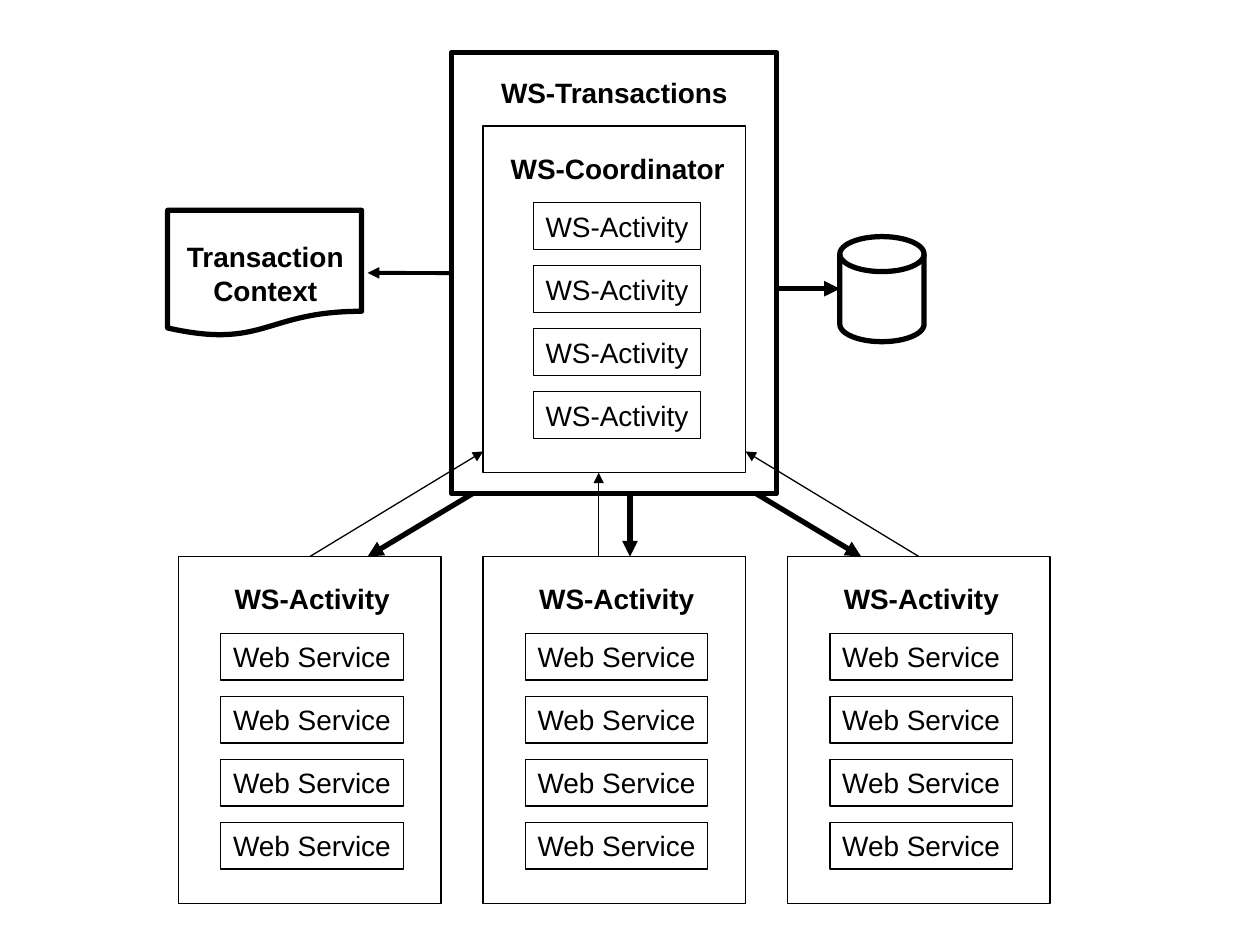
"""Build a diagram of web service transactions, coordination and activities."""
from dataclasses import dataclass

from lxml.etree import SubElement
from pptx import Presentation
from pptx.dml.color import RGBColor
from pptx.enum.shapes import MSO_CONNECTOR, MSO_SHAPE
from pptx.enum.text import MSO_ANCHOR, PP_ALIGN
from pptx.oxml.ns import qn
from pptx.util import Cm, Pt


@dataclass(frozen=True)
class Theme:
    ink: RGBColor = RGBColor(0, 0, 0)
    font: str = "Arial"
    size: Pt = Pt(16)
    thin: Pt = Pt(0.75)
    medium: Pt = Pt(2.25)
    thick: Pt = Pt(3)


theme = Theme()
prs = Presentation()
prs.slide_width, prs.slide_height = Cm(25.4), Cm(19.05)
s = prs.slides.add_slide(prs.slide_layouts[6])


def add_box(left, top, width, height, text="", kind=MSO_SHAPE.RECTANGLE, line=theme.thin, bold=False):
    """Add an unfilled shape, or a text box when kind is None."""
    place = Cm(left), Cm(top), Cm(width), Cm(height)
    if kind is None:
        sp = s.shapes.add_textbox(*place)
    else:
        sp = s.shapes.add_shape(kind, *place)
        sp.shadow.inherit = False
        sp.fill.background()
        sp.line.color.rgb = theme.ink
        sp.line.width = line
    if text:
        tf = sp.text_frame
        tf.text = text
        tf.word_wrap = False
        tf.vertical_anchor = MSO_ANCHOR.MIDDLE
        for p in tf.paragraphs:
            p.alignment = PP_ALIGN.CENTER
            for r in p.runs:
                r.font.name, r.font.size, r.font.bold = theme.font, theme.size, bold
                r.font.color.rgb = theme.ink
    return sp


def add_arrow(x1, y1, x2, y2, width):
    """Add a straight arrow pointing at its second end."""
    arrow = s.shapes.add_connector(MSO_CONNECTOR.STRAIGHT, Cm(x1), Cm(y1), Cm(x2), Cm(y2))
    arrow.line.color.rgb = theme.ink
    arrow.line.width = width
    SubElement(arrow.line._get_or_add_ln(), qn("a:tailEnd"), type="triangle")
    SubElement(arrow._element.spPr, qn("a:effectLst"))
    return arrow


panel_w, panel_h, row_h, row_step = 5.29, 6.99, 0.94, 1.27
activity_top, activity_step = 11.22, 6.14
activity_lefts = [3.6 + activity_step * i for i in range(3)]
coordinator_left, coordinator_top = activity_lefts[1], 2.54

activity = ("WS-Activity", 0.88, 3.63, "Web Service", 0.85, 3.68)
coordinator = ("WS-Coordinator", 0.3, 4.83, "WS-Activity", 1.01, 3.38)
panels = [(left, activity_top, activity) for left in activity_lefts]
panels.append((coordinator_left, coordinator_top, coordinator))

frames = []
for left, top, (title, title_dx, title_w, item, item_dx, item_w) in panels:
    frames.append(add_box(left, top, panel_w, panel_h))
    add_box(left + title_dx, top + 0.38, title_w, row_h, title, kind=None, bold=True)
    for row in range(4):
        add_box(left + item_dx, top + 1.55 + row_step * row, item_w, row_h, item)

transactions = add_box(9.1, 1.06, 6.56, 8.89, line=theme.thick)
add_box(9.83, 1.4, 5.11, row_h, "WS-Transactions", kind=None, bold=True)
add_box(3.38, 4.24, 3.91, 2.54, kind=MSO_SHAPE.FLOWCHART_DOCUMENT, line=theme.thick)
add_box(3.51, 4.7, 3.68, 1.63, "Transaction\nContext", kind=None, bold=True)
add_box(16.93, 4.77, 1.7, 2.12, kind=MSO_SHAPE.FLOWCHART_MAGNETIC_DISK, line=theme.thick)

for frame, x1, x2 in ((frames[0], 6.25, coordinator_left), (frames[2], 18.53, coordinator_left + panel_w)):
    add_arrow(x1, activity_top, x2, 9.1, theme.thin).begin_connect(frame, 0)
add_arrow(12.07, activity_top, 12.07, coordinator_top + panel_h, theme.thin)
for x1, x2 in ((9.53, 7.41), (12.7, 12.7), (15.24, 17.36)):
    add_arrow(x1, 9.95, x2, activity_top, theme.thick)
add_arrow(9.1, 5.5, 7.41, 5.5, theme.medium).begin_connect(transactions, 1)
add_arrow(15.66, 5.82, 16.93, 5.82, theme.thick)

prs.save("out.pptx")
